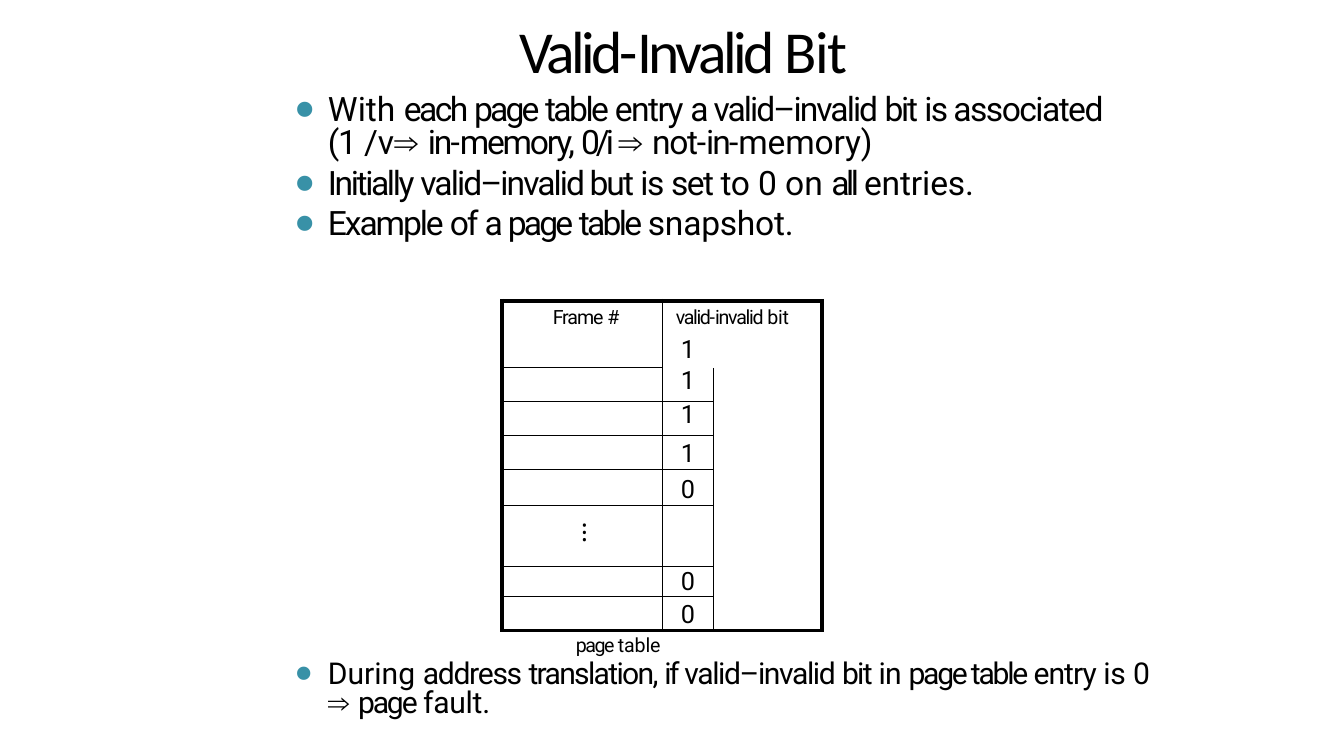
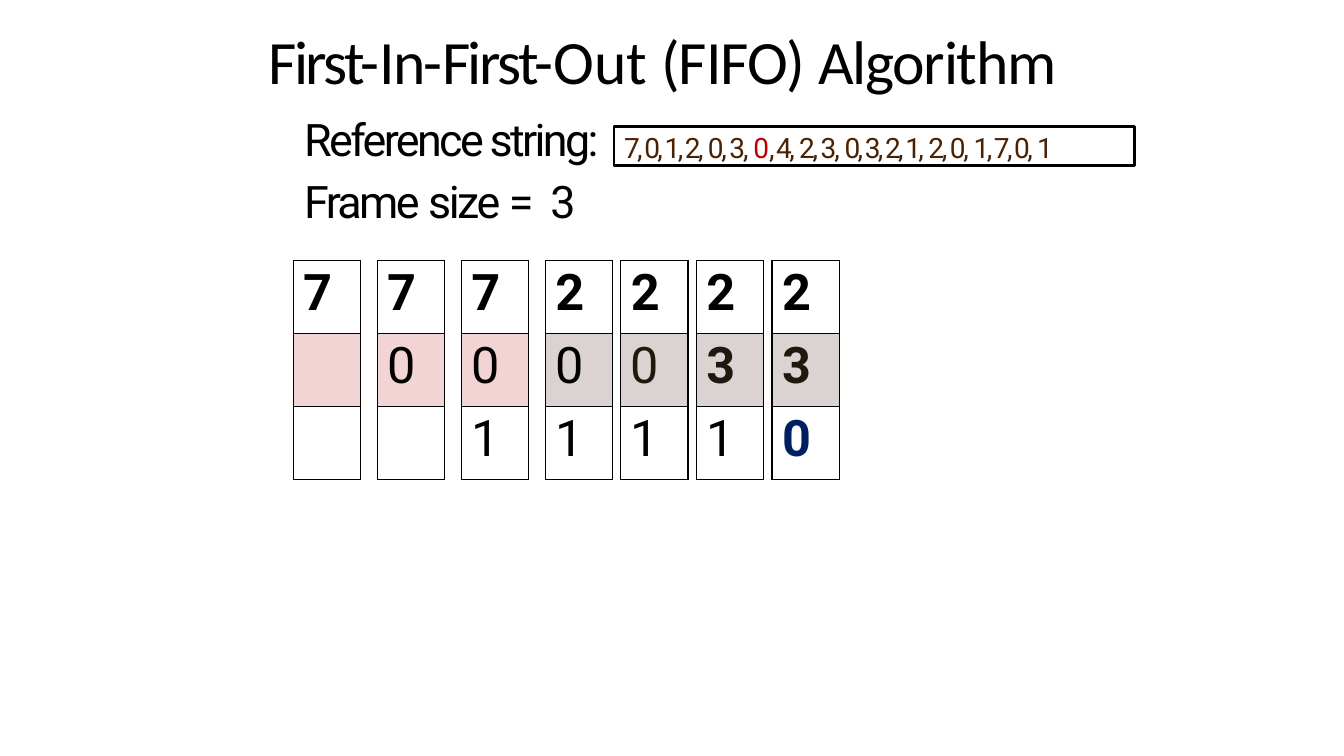
import dataclasses
import itertools

import pptx
import pptx.dml.color
import pptx.enum.shapes
import pptx.enum.text
import pptx.oxml.ns
import pptx.util
from lxml import etree

Pt, Inches = pptx.util.Pt, pptx.util.Inches
RGB = pptx.dml.color.RGBColor.from_string
qn = pptx.oxml.ns.qn
ALIGN = pptx.enum.text.PP_ALIGN
ANCHOR = pptx.enum.text.MSO_ANCHOR


@dataclasses.dataclass(frozen=True)
class Theme:
    ink: str = "000000"
    paper: str = "FFFFFF"
    bullet: str = "3891A7"
    early: str = "C32C2D"
    late: str = "4F271C"
    late_ink: str = "1E180D"
    newest: str = "001F5F"
    string: str = "4A2103"
    fault: str = "C00000"
    head_font: str = "Calibri"
    font: str = "Roboto"
    symbol_font: str = "Arial"
    dots_font: str = "Cabin"
    small: float = 14
    bit: float = 18
    string_size: float = 20
    note: float = 21.5
    body: float = 24
    lead: float = 32
    page: float = 36
    thick: float = 3
    thin: float = 0.75
    frame_line: float = 1


T = Theme()
SLIDE_W, SLIDE_H = Inches(13.33), Inches(7.5)
COLUMNS, ROWS = 160, 90
ARROW = ("⇒ ", 0, {"font": T.symbol_font})


def cols(n):
    return round(SLIDE_W * n / COLUMNS)


def rows(n):
    return round(SLIDE_H * n / ROWS)


def grid_box(x, y, w, h):
    return cols(x), rows(y), cols(w), rows(h)


def add_xml(parent, tag, **attrs):
    return etree.SubElement(parent, qn(tag), attrs)


def write(p, runs, size, font=T.font, color=T.ink, bold=False, align=ALIGN.LEFT,
          left=0, hang=0, before=0, line=None, bullet=None):
    """Fill a paragraph with (text, letter spacing, overrides) runs; bullet is a size in percent."""
    p.alignment = align
    p.space_before = Pt(before)
    if line:
        p.line_spacing = line
    ppr = p._p.get_or_add_pPr()
    ppr.set("marL", str(Inches(left)))
    ppr.set("indent", str(Inches(-hang)))
    if bullet:
        add_xml(add_xml(ppr, "a:buClr"), "a:srgbClr", val=T.bullet)
        add_xml(ppr, "a:buSzPct", val=str(bullet * 1000))
        add_xml(ppr, "a:buChar", char="⚫")
    else:
        add_xml(ppr, "a:buNone")
    for text, spacing, *extra in runs:
        style = {"font": font, "color": color, **(extra[0] if extra else {})}
        r = p.add_run()
        r.text = text
        r.font.size, r.font.bold, r.font.name = Pt(size), bold, style["font"]
        r.font.color.rgb = RGB(style["color"])
        r._r.get_or_add_rPr().set("spc", str(round(spacing * 100)))


def text_frame(sp, top, anchor=ANCHOR.TOP):
    tf = sp.text_frame
    tf.word_wrap = True
    tf.auto_size = pptx.enum.text.MSO_AUTO_SIZE.NONE
    tf.vertical_anchor = anchor
    tf.margin_left = tf.margin_right = tf.margin_bottom = 0
    tf.margin_top = Inches(top)
    return tf


def place(sp, box):
    sp.left, sp.top, sp.width, sp.height = box


def add_title(slide, box, runs, size, left=0):
    place(slide.shapes.title, box)
    tf = text_frame(slide.shapes.title, 0.02, ANCHOR.MIDDLE)
    write(tf.paragraphs[0], runs, size, T.head_font, left=left, before=1.2)


def add_body(slide, index, box, top, paragraphs):
    sp = slide.placeholders[index]
    place(sp, box)
    tf = text_frame(sp, top)
    for i, (runs, style) in enumerate(paragraphs):
        write(tf.add_paragraph() if i else tf.paragraphs[0], runs, **style)


def add_grid(slide, x, y, widths, heights):
    frame = slide.shapes.add_table(len(heights), len(widths),
                                   *grid_box(x, y, sum(widths), sum(heights)))
    table = frame.table
    table.first_row = table.horz_banding = False
    for column, w in zip(table.columns, widths):
        column.width = cols(w)
    for row, h in zip(table.rows, heights):
        row.height = rows(h)
    return table


def dress_cell(cell, edges, fill=T.paper, alpha=None, top=0):
    """Edges are line widths for left, right, top and bottom; 0 leaves a side open."""
    cell.margin_left = cell.margin_right = cell.margin_bottom = 0
    cell.margin_top = Inches(top)
    tcpr = cell._tc.get_or_add_tcPr()
    for side, width in zip("LRTB", edges):
        ln = add_xml(tcpr, "a:ln" + side, w=str(Pt(width)))
        if width:
            add_xml(add_xml(ln, "a:solidFill"), "a:srgbClr", val=T.ink)
        else:
            add_xml(ln, "a:noFill")
    cell.fill.solid()
    cell.fill.fore_color.rgb = RGB(fill)
    if alpha:
        color = tcpr.find(qn("a:solidFill")).find(qn("a:srgbClr"))
        add_xml(color, "a:alpha", val=str(alpha * 1000))


def blank(cell):
    add_xml(cell.text_frame.paragraphs[0]._p, "a:endParaRPr", sz="1200")


def page_table_edges(r, c, last):
    top = T.thick if r == 0 else T.thin
    bottom = T.thick if r == last else T.thin
    if c == 0:
        return T.thick, T.thin, top, bottom
    if r == 0:
        return T.thin, T.thick, top, 0
    if c == 1:
        return T.thin, T.thin, 0 if r == 1 else top, bottom
    return T.thin, T.thick, 0, T.thick


def add_page_table(slide, x, y):
    heights = [8, 4, 4, 4, 4, 7.3, 3.6, 4]
    bits = ["", "1", "1", "1", "0", "", "0", "0"]
    bit_tops = [0.05, 0, 0, 0.06, 0.08, 0, 0.02, 0.05]
    table = add_grid(slide, x, y, [19.1, 6, 13], heights)
    last = len(heights) - 1
    table.cell(0, 1).merge(table.cell(0, 2))
    table.cell(1, 2).merge(table.cell(last, 2))
    for r, c in itertools.product(range(len(heights)), range(3)):
        cell = table.cell(r, c)
        if cell.is_spanned:
            continue
        tops = {(0, 0): 0.05, (5, 0): 0.12}
        dress_cell(cell, page_table_edges(r, c, last),
                   top=bit_tops[r] if c == 1 else tops.get((r, c), 0))
        p = cell.text_frame.paragraphs[0]
        if (r, c) == (0, 0):
            write(p, [("Frame ", -0.8), ("#", 0.3)], T.small,
                  align=ALIGN.CENTER, left=0.07, before=3.4)
        elif (r, c) == (0, 1):
            write(p, [("valid-", -1), ("invalid ", -0.9), ("bit", -0.2)], T.small,
                  left=0.13, before=3.4)
            write(cell.text_frame.add_paragraph(), [("1", -0.5)], T.bit,
                  left=0.18, before=4.8)
        elif (r, c) == (5, 0):
            write(p, [("⁝", 0.5)], T.bit, T.dots_font,
                  align=ALIGN.CENTER, left=0.04, before=9)
        elif c == 1 and bits[r]:
            write(p, [(bits[r], -0.5)], T.bit, align=ALIGN.CENTER, line=Pt(20))
        else:
            blank(cell)


def add_frames(slide, x, y):
    """One three-frame table per reference; a space is a free frame."""
    states = ["7  ", "70 ", "701", "201", "201", "231", "230"]
    first_loaded = " 01"
    steps = [10] * 3 + [9] * 3
    lefts = itertools.accumulate(steps, initial=x)
    for i, (left, state) in enumerate(zip(lefts, states)):
        table = add_grid(slide, left, y, [8], [8.7] * 3)
        for r, page in enumerate(state):
            cell = table.cell(r, 0)
            middle = r == 1
            dress_cell(cell, [T.frame_line] * 4, top=0.03,
                       fill=(T.early if i < 3 else T.late) if middle else T.paper,
                       alpha=20 if middle else None)
            if page == " ":
                blank(cell)
                continue
            replaced = page != first_loaded[r]
            color = T.ink
            if middle and i > 3:
                color = T.late_ink
            elif r == 2 and replaced:
                color = T.newest
            write(cell.text_frame.paragraphs[0], [(page, -0.5)], T.page, color=color,
                  bold=replaced, left=0.1, before=2.5)


def add_reference_string(slide, box):
    sp = slide.shapes.add_shape(pptx.enum.shapes.MSO_SHAPE.RECTANGLE, *box)
    sp.shadow.inherit = False
    sp.fill.background()
    sp.line.color.rgb = RGB(T.ink)
    sp.line.width = Pt(2)
    runs = [("7, 0, 1, 2, ", -1.9), ("0, 3, ", -1.6), ("0", -1.9, {"color": T.fault}),
            (", 4, ", -1.9), ("2, 3, ", -1.6), ("0, 3, 2, 1, ", -1.9),
            ("2, 0, ", -1.6), ("1, 7, 0, ", -1.9), ("1", -0.5)]
    write(text_frame(sp, 0.04).paragraphs[0], runs, T.string_size,
          color=T.string, left=0.1, before=2.9)


def build_valid_bit(prs):
    slide = prs.slides.add_slide(prs.slide_layouts.get_by_name("Two Content"))
    add_title(slide, grid_box(61.9, 1.3, 44.6, 8.9),
              [("Valid-", -2.6), ("Invalid ", -2.5), ("Bit", -1.1)], 42.5)
    item = {"size": T.body, "left": 0.32, "hang": 0.31, "bullet": 81}
    add_body(slide, 1, grid_box(35.2, 10.3, 98, 18.6), 0.09, [
        ([("With ", 0), ("each ", -1.8), ("page ", -2), ("table ", -1.8),
          ("entry ", -1.1), ("a ", -2.5), ("valid–invalid ", -1.4), ("bit ", -1.6),
          ("is associated ", -1.1), ("(1 ", -0.9), ("/ ", -6), ("v", 0), ARROW,
          ("in-", -1.4), ("memory, ", -1.6), ("0/i ", -2.8), ARROW,
          ("not-", -0.9), ("in-", -1.4), ("memory)", -0.1)],
         {**item, "line": Pt(23.3), "before": 6.3}),
        ([("Initially ", -1.7), ("valid–invalid but ", -1.4), ("is ", -1.1),
          ("set ", -1.2), ("to ", -0.3), ("0 on ", 0), ("all ", -2.4),
          ("entries.", -0.1)],
         {**item, "line": Pt(28.6), "before": 0.7}),
        ([("Example ", -1.5), ("of ", -1.6), ("a ", -2.5), ("page ", -2),
          ("table ", -1.9), ("snapshot.", -0.2)],
         {**item, "line": Pt(28.6)}),
    ])
    add_page_table(slide, 59.8, 35.8)
    add_body(slide, 2, grid_box(35.2, 75.4, 102.2, 10.4), 0.02, [
        ([("page ", -1.1), ("table", -0.1)],
         {"size": T.small, "left": 2.78, "line": Pt(15.2), "before": 1.2}),
        ([("During ", 0), ("address ", -0.9), ("translation, ", -1.2), ("if ", -1.9),
          ("valid–invalid ", -1), ("bit ", -1.2), ("in ", -0.5), ("page table ", -1.6),
          ("entry ", -0.7), ("is ", -0.2), ("0 ", 0), ARROW, ("page ", -1.5),
          ("fault.", -0.2)],
         {**item, "size": T.note, "bullet": 79, "line": Pt(21), "before": 3}),
    ])


def build_fifo(prs):
    slide = prs.slides.add_slide(prs.slide_layouts.get_by_name("Title and Content"))
    add_title(slide, grid_box(20.8, 2.4, 138, 9.1),
              [("First-", -1.8), ("In-", -1.6), ("First-", -1.8), ("Out ", 0),
               ("(FIFO) ", -0.8), ("Algorithm", -1)], 44, left=0.93)
    add_body(slide, 1, grid_box(36.1, 12.2, 36.8, 14.4), 0.01, [
        ([("Reference string: Frame ", -1.9), ("size ", -1.8), ("= ", 2), ("3", -0.5)],
         {"size": T.lead, "left": 0.01, "line": 1.15, "before": 0.9}),
    ])
    add_frames(slide, 34.9, 31)
    add_reference_string(slide, grid_box(73.1, 15.1, 62, 4.6))


def main():
    prs = pptx.Presentation()
    prs.slide_width, prs.slide_height = SLIDE_W, SLIDE_H
    build_valid_bit(prs)
    build_fifo(prs)
    prs.save("out.pptx")


if __name__ == "__main__":
    main()
